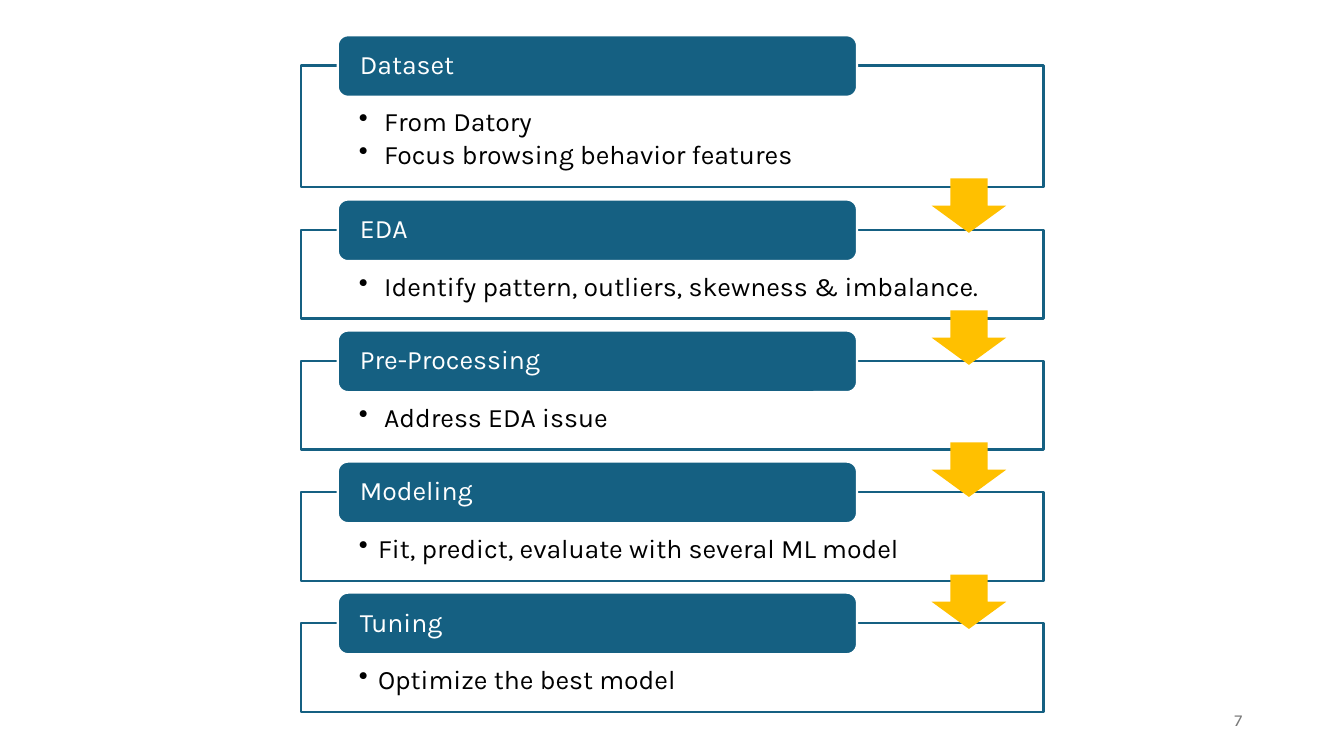
from lxml.etree import SubElement
from pptx import Presentation
from pptx.dml.color import RGBColor
from pptx.enum.shapes import MSO_SHAPE as SHAPE
from pptx.enum.text import MSO_ANCHOR as ANCHOR, PP_ALIGN as ALIGN
from pptx.oxml.ns import qn
from pptx.util import Inches, Pt

COLORS = {"teal": "156082", "amber": "FFC000", "white": "FFFFFF",
          "black": "000000", "gray": "797979"}
FONT = "Karla"

# Heading, height of the frame, bullet indent, bullets
STEPS = [
    ("Dataset", 1.21, 0.25, ["From Datory", "Focus browsing behavior features"]),
    ("EDA", 0.88, 0.25, ["Identify pattern, outliers, skewness & imbalance."]),
    ("Pre-Processing", 0.88, 0.25, ["Address EDA issue"]),
    ("Modeling", 0.88, 0.19, ["Fit, predict, evaluate with several ML model"]),
    ("Tuning", 0.88, 0.19, ["Optimize the best model"]),
]
FIRST_TOP, STEP_GAP = 0.65, 0.42
TAB_RISE = 0.3
ARROW_TOP, ARROW_PITCH = 1.77, 1.31


def rgb(name):
    return RGBColor.from_string(COLORS[name])


def add_block(slide, preset, box, fill, line=None):
    block = slide.shapes.add_shape(preset, *map(Inches, box))
    block.shadow.inherit = False
    block.fill.solid()
    block.fill.fore_color.rgb = rgb(fill)
    if line:
        block.line.color.rgb = rgb(line)
        block.line.width = Pt(1.5)
    else:
        block.line.fill.background()
    return block


def write(frame, lines, size, color, margins, anchor, align=ALIGN.LEFT):
    """Fill a text frame with one paragraph per line; margins are left, top, right, bottom."""
    frame.word_wrap = True
    frame.vertical_anchor = anchor
    (frame.margin_left, frame.margin_top,
     frame.margin_right, frame.margin_bottom) = map(Inches, margins)
    for number, line in enumerate(lines):
        paragraph = frame.add_paragraph() if number else frame.paragraphs[0]
        paragraph.text = line
        paragraph.alignment = align
        paragraph.line_spacing = 0.9
        paragraph.font.name = FONT
        paragraph.font.size = Pt(size)
        paragraph.font.color.rgb = rgb(color)


def add_bullet(paragraph, indent):
    paragraph.space_after = Pt(3)
    properties = paragraph._p.get_or_add_pPr()
    properties.set("marL", str(Inches(indent)))
    properties.set("indent", str(-Inches(indent)))
    bullet = SubElement(properties, qn("a:buChar"))
    bullet.set("char", "•")
    # The bullet has to stand before the default run properties
    properties.find(qn("a:defRPr")).addprevious(bullet)


def add_step(slide, top, heading, height, indent, bullets):
    frame = add_block(slide, SHAPE.RECTANGLE, (2.99, top, 7.36, height), "white", "teal")
    write(frame.text_frame, bullets, 19, "black", (0.57, 0.43, 0.57, 0.15), ANCHOR.TOP)
    for paragraph in frame.text_frame.paragraphs:
        add_bullet(paragraph, indent)
    tab = add_block(slide, SHAPE.ROUNDED_RECTANGLE, (3.35, top - TAB_RISE, 5.15, 0.61),
                    "teal", "white")
    write(tab.text_frame, [heading], 19, "white", (0.19, 0, 0.19, 0), ANCHOR.MIDDLE)


def add_page_number(slide, number):
    box = slide.shapes.add_textbox(Inches(9.42), Inches(6.95), Inches(3), Inches(0.4))
    write(box.text_frame, [number], 12, "gray", (0.1, 0.05, 0.1, 0.05),
          ANCHOR.MIDDLE, ALIGN.RIGHT)


def main():
    deck = Presentation()
    deck.slide_width, deck.slide_height = Inches(13.33), Inches(7.5)
    slide = deck.slides.add_slide(deck.slide_layouts[6])
    add_page_number(slide, "7")
    top = FIRST_TOP
    for heading, height, indent, bullets in STEPS:
        add_step(slide, top, heading, height, indent, bullets)
        top += height + STEP_GAP
    for index in range(len(STEPS) - 1):
        arrow_top = ARROW_TOP + index * ARROW_PITCH
        add_block(slide, SHAPE.DOWN_ARROW, (9.24, arrow_top, 0.74, 0.54), "amber")
    deck.save("out.pptx")


if __name__ == "__main__":
    main()
